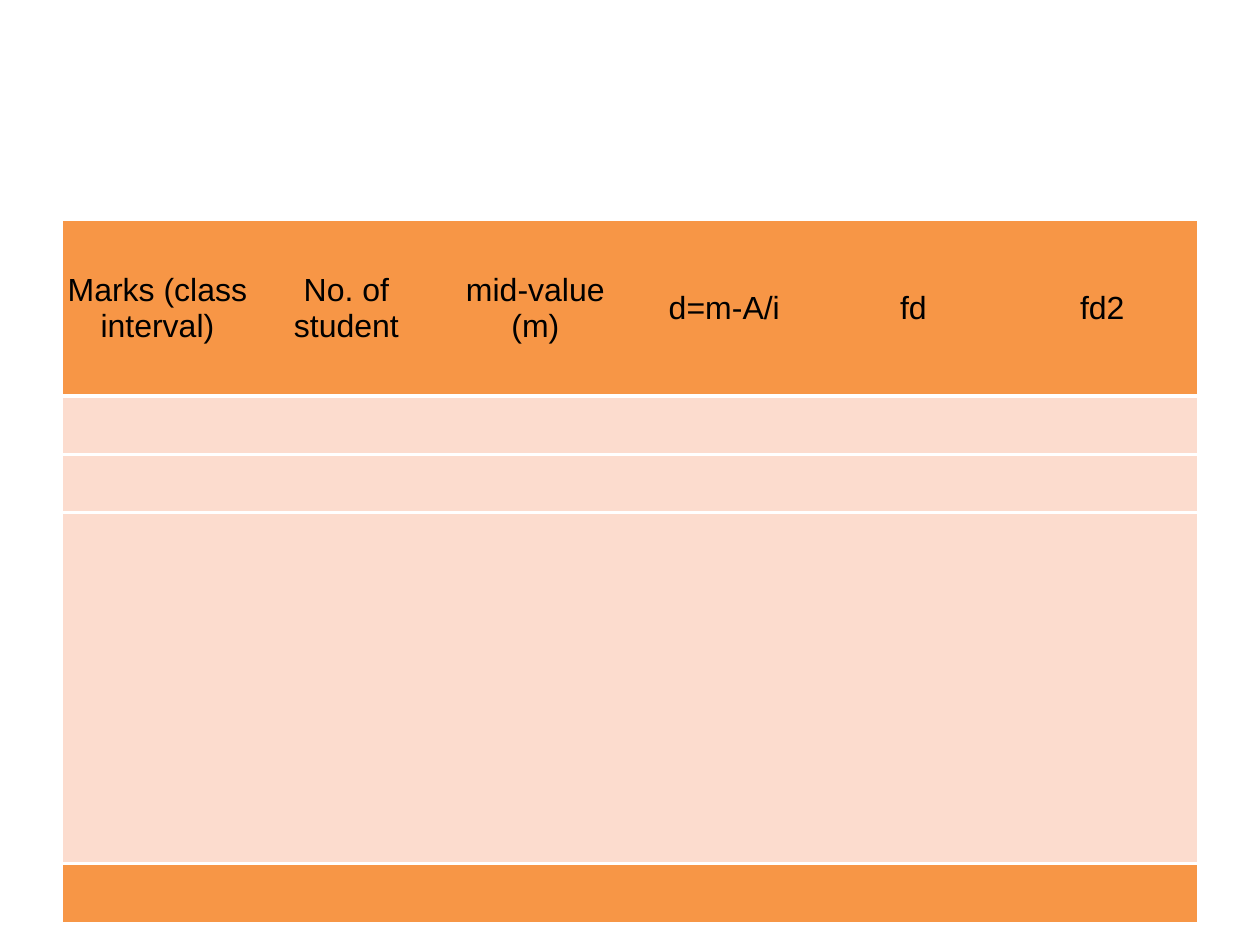
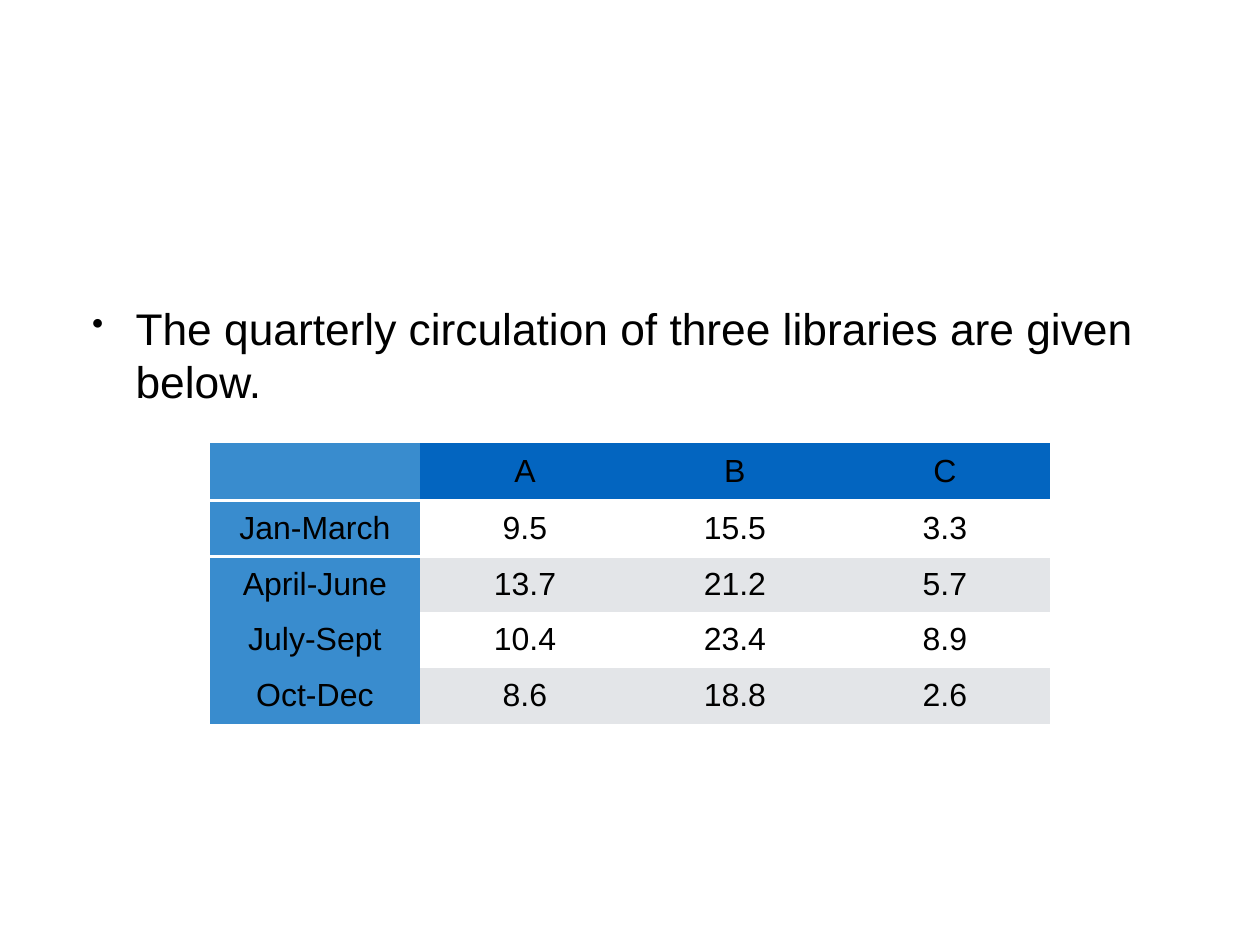
from lxml import etree
from pptx import Presentation, util as u
from pptx.dml.color import RGBColor
from pptx.enum import text as t
from pptx.oxml.ns import qn

W, H = 14.22, 10.67
FONT, BLACK, WHITE = "Arial", "000000", "FFFFFF"
ORANGE, PEACH = "F79646", "FCDCCE"
BLUE, SKY, GREY = "0365C0", "398CCE", "E3E5E8"
PLAIN = "{2D5ABB26-0587-4C30-8999-92F81FD0307C}"
ROW = 0.63
HEADS = ["Marks (class interval)", "No. of student", "mid-value (m)",
         "d=m-A/i", "fd", "fd2"]
LOANS = [["", "A", "B", "C"],
         ["Jan-March", "9.5", "15.5", "3.3"],
         ["April-June", "13.7", "21.2", "5.7"],
         ["July-Sept", "10.4", "23.4", "8.9"],
         ["Oct-Dec", "8.6", "18.8", "2.6"]]


def color(code):
    return RGBColor.from_string(code)


def write(frame, words, size=26, align=t.PP_ALIGN.CENTER, bullet=None, indent=0):
    """Fill the first paragraph of a frame, with an optional hanging bullet."""
    para = frame.paragraphs[0]
    para.alignment = align
    if bullet:
        props = para._p.get_or_add_pPr()
        props.set("marL", str(u.Inches(indent)))
        props.set("indent", str(-u.Inches(indent)))
        etree.SubElement(props, qn("a:buSzPct"), val="75000")
        etree.SubElement(props, qn("a:buChar"), char=bullet)
    run = para.add_run()
    run.text = words
    run.font.size = u.Pt(size)
    run.font.name = FONT
    run.font.color.rgb = color(BLACK)


def rule(cell, side):
    """Draw a white 3 pt border; sides go in the order B, then T."""
    line = etree.Element(qn("a:ln" + side), w=str(u.Pt(3)))
    fill = etree.SubElement(line, qn("a:solidFill"))
    etree.SubElement(fill, qn("a:srgbClr"), val=WHITE)
    cell._tc.get_or_add_tcPr().insert(0, line)


def grid(slide, left, top, width, highs, data, paint, rules):
    """Add a table; paint(row, col) gives fills, rules lists rows ruled below."""
    count = len(data[0])
    table = slide.shapes.add_table(
        len(data), count, u.Inches(left), u.Inches(top),
        u.Inches(width), u.Inches(sum(highs))).table
    table._tbl.tblPr.find(qn("a:tableStyleId")).text = PLAIN
    table.first_row = table.horz_banding = False
    for col in table.columns:
        col.width = u.Inches(width / count)
    for r, (row, high) in enumerate(zip(data, highs)):
        table.rows[r].height = u.Inches(high)
        for c, words in enumerate(row):
            cell = table.cell(r, c)
            cell.margin_left = cell.margin_right = u.Inches(0.05)
            cell.margin_top = cell.margin_bottom = u.Inches(0.05)
            cell.vertical_anchor = t.MSO_ANCHOR.MIDDLE
            cell.fill.solid()
            cell.fill.fore_color.rgb = color(paint(r, c))
            if r in rules:
                rule(cell, "B")
            if r - 1 in rules:
                rule(cell, "T")
            if words:
                write(cell.text_frame, words)


def marks(slide):
    data = [HEADS] + [[""] * len(HEADS)] * 9
    last = len(data) - 1
    grid(slide, W * 0.05, 2.49, W * 0.9, [1.98] + [0.66] * last, data,
         lambda r, c: ORANGE if r in (0, last) else PEACH,
         (0, 1, last - 1))


def loans(slide):
    side = 1.04
    box = slide.shapes.add_textbox(u.Inches(side), u.Inches(0.56),
                                   u.Inches(W - 2 * side), u.Inches(6.88))
    frame = box.text_frame
    frame.word_wrap = True
    frame.vertical_anchor = t.MSO_ANCHOR.MIDDLE
    frame.margin_left = frame.margin_right = 0
    frame.margin_top = frame.margin_bottom = 0
    write(frame, "The quarterly circulation of three libraries are given below.",
          size=36, align=t.PP_ALIGN.LEFT, bullet="•", indent=0.49)

    def paint(r, c):
        if c == 0:
            return SKY
        if r == 0:
            return BLUE
        return WHITE if r % 2 else GREY

    grid(slide, W / 6, 5, W * 4 / 6, [0.65] + [ROW] * 4, LOANS, paint, (0,))


def main():
    deck = Presentation()
    deck.slide_width, deck.slide_height = u.Inches(W), u.Inches(H)
    for build in (marks, loans):
        build(deck.slides.add_slide(deck.slide_layouts[6]))
    deck.save("out.pptx")


if __name__ == "__main__":
    main()
